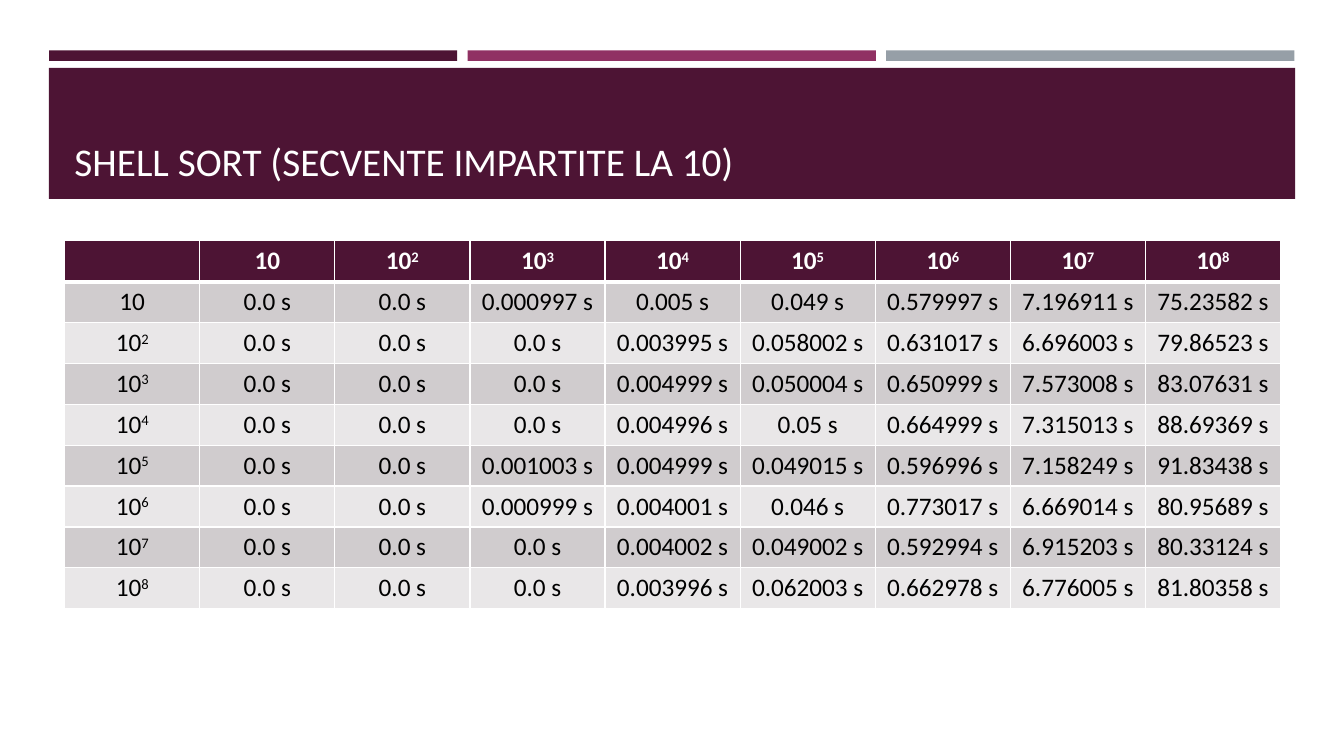
from dataclasses import dataclass

from lxml.etree import SubElement
from pptx import Presentation
from pptx.dml.color import RGBColor
from pptx.enum.shapes import MSO_SHAPE
from pptx.enum.text import MSO_ANCHOR, MSO_AUTO_SIZE, PP_ALIGN
from pptx.oxml.ns import qn
from pptx.util import Pt


@dataclass(frozen=True)
class Theme:
    font: str = "Calibri"
    plum: str = "4D1434"
    magenta: str = "903163"
    gray: str = "969FA7"
    dark_band: str = "D0CCCE"
    light_band: str = "E9E7E8"
    white: str = "FFFFFF"
    black: str = "000000"
    title_size: int = 28
    table_size: int = 18


THEME = Theme()

# Powers of ten that head both the columns and the rows
POWERS = ["10"] + [f"10^{exponent}" for exponent in range(2, 9)]

# Sorting times in seconds, one row per power
TIMES = [
    "0.0 0.0 0.000997 0.005 0.049 0.579997 7.196911 75.23582",
    "0.0 0.0 0.0 0.003995 0.058002 0.631017 6.696003 79.86523",
    "0.0 0.0 0.0 0.004999 0.050004 0.650999 7.573008 83.07631",
    "0.0 0.0 0.0 0.004996 0.05 0.664999 7.315013 88.69369",
    "0.0 0.0 0.001003 0.004999 0.049015 0.596996 7.158249 91.83438",
    "0.0 0.0 0.000999 0.004001 0.046 0.773017 6.669014 80.95689",
    "0.0 0.0 0.0 0.004002 0.049002 0.592994 6.915203 80.33124",
    "0.0 0.0 0.0 0.003996 0.062003 0.662978 6.776005 81.80358",
]


def write_text(text_frame, text, *, size, color, bold=False, align=PP_ALIGN.LEFT):
    """Write one paragraph; what follows a ^ is raised."""
    paragraph = text_frame.paragraphs[0]
    paragraph.alignment = align
    base, _, exponent = text.partition("^")
    for part, raised in ((base, False), (exponent, True)):
        if not part:
            continue
        run = paragraph.add_run()
        run.text = part
        run.font.name = THEME.font
        run.font.size = Pt(size)
        run.font.bold = bold
        run.font.color.rgb = RGBColor.from_string(color)
        if raised:
            run.font._element.set("baseline", "30000")


def add_bar(slide, left, top, width, height, color):
    bar = slide.shapes.add_shape(
        MSO_SHAPE.RECTANGLE, Pt(left), Pt(top), Pt(width), Pt(height))
    bar.shadow.inherit = False
    bar.fill.solid()
    bar.fill.fore_color.rgb = RGBColor.from_string(color)
    bar.line.fill.background()


def add_title(slide, text):
    title = slide.shapes.title
    title.left, title.top, title.width, title.height = Pt(46), Pt(55.3), Pt(868.5), Pt(80)
    # Bring the title in front of its band
    title.element.getparent().append(title.element)
    frame = title.text_frame
    frame.word_wrap = True
    frame.auto_size = MSO_AUTO_SIZE.NONE
    frame.vertical_anchor = MSO_ANCHOR.BOTTOM
    write_text(frame, text, size=THEME.title_size, color=THEME.white)


def set_borders(cell, top, bottom):
    properties = cell._tc.get_or_add_tcPr()
    for side, width in (("L", 1), ("R", 1), ("T", top), ("B", bottom)):
        line = SubElement(properties, qn(f"a:ln{side}"), w=str(Pt(width)))
        fill = SubElement(line, qn("a:solidFill"))
        SubElement(fill, qn("a:srgbClr"), val=THEME.white)


def add_times_table(slide):
    rows = [[""] + POWERS]
    for power, times in zip(POWERS, TIMES):
        rows.append([power] + [f"{time} s" for time in times.split()])
    count = len(rows)
    table = slide.shapes.add_table(
        count, count, Pt(46.2), Pt(172), Pt(868.5), Pt(29.2 * count)).table
    table.horz_banding = False
    for column in table.columns:
        column.width = Pt(96.5)
    for row_index, texts in enumerate(rows):
        header = row_index == 0
        band = THEME.dark_band if row_index % 2 else THEME.light_band
        table.rows[row_index].height = Pt(29.2)
        for column_index, text in enumerate(texts):
            cell = table.cell(row_index, column_index)
            set_borders(cell, top=3 if row_index == 1 else 1, bottom=3 if header else 1)
            cell.fill.solid()
            cell.fill.fore_color.rgb = RGBColor.from_string(THEME.plum if header else band)
            write_text(cell.text_frame, text, size=THEME.table_size, bold=header,
                       color=THEME.white if header else THEME.black,
                       align=PP_ALIGN.CENTER)


def main():
    presentation = Presentation()
    presentation.slide_width, presentation.slide_height = Pt(960), Pt(540)
    slide = presentation.slides.add_slide(presentation.slide_layouts[5])

    # Three accent bars above the title band
    for index, color in enumerate((THEME.plum, THEME.magenta, THEME.gray)):
        add_bar(slide, 35 + 299 * index, 36, 291.6, 7.5, color)
    add_bar(slide, 34.9, 48.5, 890.3, 93.6, THEME.plum)

    add_title(slide, "SHELL SORT (SECVENTE IMPARTITE LA 10)")
    add_times_table(slide)
    presentation.save("out.pptx")


if __name__ == "__main__":
    main()
